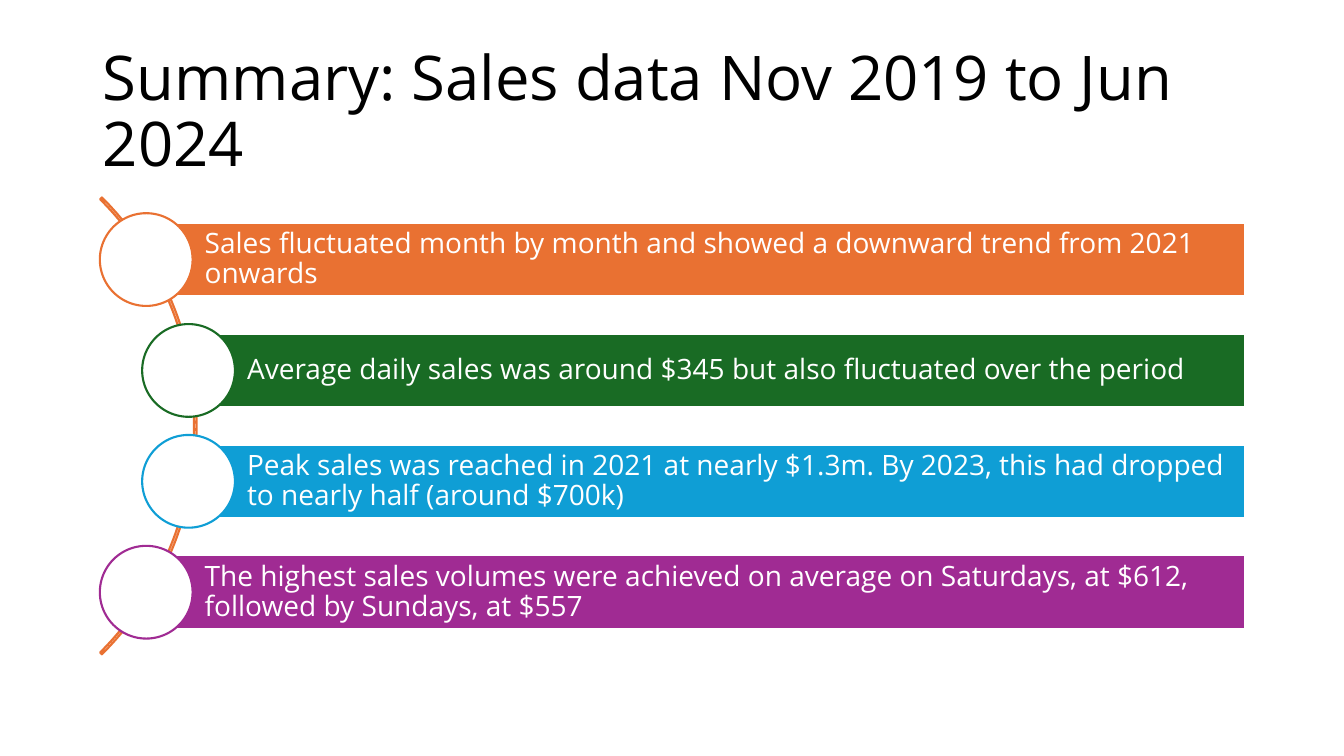
import dataclasses

import pptx
import pptx.dml.color
import pptx.enum.shapes
import pptx.enum.text
import pptx.util

Inches = pptx.util.Inches
Kind = pptx.enum.shapes.MSO_SHAPE
Text = pptx.enum.text

HUES = {
    "black": "000000",
    "white": "FFFFFF",
    "orange": "E97132",
    "green": "196B24",
    "blue": "0F9ED5",
    "purple": "A02B93",
}
FONT = "Open Sans"
RIGHT = 12.35
TOP = 2.21
STEP = 1.1
HIGH = 0.73
DISC = 0.92


@dataclasses.dataclass
class Point:
    text: str
    hue: str
    left: float


POINTS = [
    Point("Sales fluctuated month by month and showed a downward trend from 2021 onwards",
          "orange", 1.45),
    Point("Average daily sales was around $345 but also fluctuated over the period",
          "green", 1.87),
    Point("Peak sales was reached in 2021 at nearly $1.3m. By 2023, this had dropped "
          "to nearly half (around $700k)", "blue", 1.87),
    Point("The highest sales volumes were achieved on average on Saturdays, at $612, "
          "followed by Sundays, at $557", "purple", 1.45),
]


def shade(name: str) -> pptx.dml.color.RGBColor:
    return pptx.dml.color.RGBColor.from_string(HUES[name])


def write(shape, text: str, *, size: float, hue: str, pads: tuple) -> None:
    frame = shape.text_frame
    frame.word_wrap = True
    frame.auto_size = Text.MSO_AUTO_SIZE.NONE
    frame.vertical_anchor = Text.MSO_ANCHOR.MIDDLE
    frame.margin_left, frame.margin_top, frame.margin_right, frame.margin_bottom = map(Inches, pads)
    para = frame.paragraphs[0]
    para.alignment = Text.PP_ALIGN.LEFT
    para.line_spacing = 0.9
    run = para.add_run()
    run.text = text
    run.font.name = FONT
    run.font.size = pptx.util.Pt(size)
    run.font.color.rgb = shade(hue)


def draw(slide, kind: Kind, box: tuple, line: str, fill: str | None = None):
    shape = slide.shapes.add_shape(kind, *map(Inches, box))
    shape.shadow.inherit = False
    if fill:
        shape.fill.solid()
        shape.fill.fore_color.rgb = shade(fill)
    else:
        shape.fill.background()
    shape.line.color.rgb = shade(line)
    shape.line.width = pptx.util.Pt(1.5)
    return shape


def add_point(slide, point: Point, top: float) -> None:
    bar = draw(slide, Kind.RECTANGLE, (point.left, top, RIGHT - point.left, HIGH),
               "white", point.hue)
    write(bar, point.text, size=20, hue="white", pads=(0.58, 0.06, 0.06, 0.06))
    disc = (point.left - DISC / 2, top + (HIGH - DISC) / 2, DISC, DISC)
    draw(slide, Kind.OVAL, disc, point.hue, "white")


def main() -> None:
    deck = pptx.Presentation()
    deck.slide_width = Inches(13.33)
    deck.slide_height = Inches(7.5)
    slide = deck.slides.add_slide(deck.slide_layouts[5])

    title = slide.shapes.title
    title.left, title.top, title.width, title.height = map(Inches, (0.92, 0.4, 11.5, 1.45))
    write(title, "Summary: Sales data Nov 2019 to Jun 2024", size=44, hue="black",
          pads=(0.1, 0.05, 0.1, 0.05))

    arc = draw(slide, Kind.BLOCK_ARC, (-4.46, 1.02, 6.41, 6.41), "orange")
    for index, value in enumerate((189, 27, 0.004)):
        arc.adjustments[index] = value

    for row, point in enumerate(POINTS):
        add_point(slide, point, TOP + row * STEP)

    deck.save("out.pptx")


if __name__ == "__main__":
    main()
